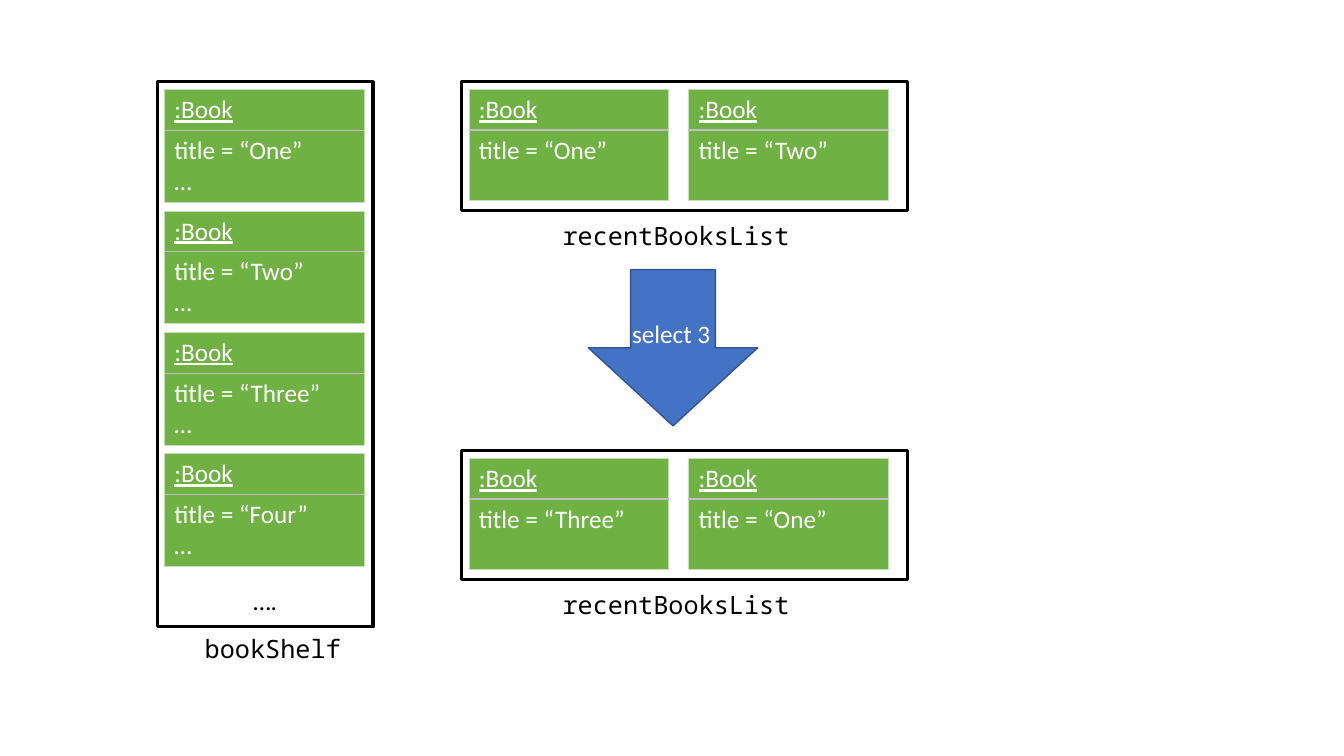
from lxml import etree
from pptx import Presentation, util as u
from pptx.dml.color import RGBColor
from pptx.enum import shapes, text
from pptx.oxml.ns import qn

# Content
SHELF = ["One", "Two", "Three", "Four"]
RECENT = [(0.81, ["One", "Two"]), (4.47, ["Three", "One"])]   # frame top, titles
COLORS = dict(white="FFFFFF", black="000000", book="70B144", edge="C9DBC1",
              divider="BFBFBF", arrow="4472C4", arrow_line="325491")
SANS, MONO = "Calibri", "Noto Sans Mono"

# Layout, in inches
SHELF_X, SHELF_Y, SHELF_W, SHELF_H = 1.56, 0.81, 2.14, 5.41
LIST_X, LIST_W, LIST_H = 4.58, 4.42, 1.28
PAD_X, PAD_Y = 0.07, 0.08
BOOK_W, BOOK_ROWS = 1.98, (0.4, 0.7)
SHELF_STEP = (4.5 - SHELF_Y - PAD_Y) / (len(SHELF) - 1)
LIST_STEP = BOOK_W + 0.2
LABEL_W, LABEL_H = 2.69, 0.4

prs = Presentation()
prs.slide_width, prs.slide_height = u.Inches(13.33), u.Inches(7.5)
s = prs.slides.add_slide(prs.slide_layouts[6])


def rgb(name):
    return RGBColor.from_string(COLORS[name])


def box(*at):
    return [u.Inches(v) for v in at]


def write(p, words, color, font=SANS, underline=False, align=None):
    p.alignment = align
    r = p.add_run()
    r.text = words
    r.font.size, r.font.name = u.Pt(18), font
    r.font.bold, r.font.underline = False, underline
    r.font.color.rgb = rgb(color)


def shape(kind, at, fill, line, width):
    sp = s.shapes.add_shape(kind, *box(*at))
    sp.shadow.inherit = False
    sp.fill.solid()
    sp.fill.fore_color.rgb = rgb(fill)
    sp.line.color.rgb = rgb(line)
    sp.line.width = u.Pt(width)
    return sp


def frame(*at):
    return shape(shapes.MSO_SHAPE.RECTANGLE, at, "white", "black", 2.25)


def label(words, at, color="black", font=MONO, wrap=True, align=text.PP_ALIGN.CENTER):
    tf = s.shapes.add_textbox(*box(*at)).text_frame
    tf.word_wrap = wrap
    tf.auto_size = text.MSO_AUTO_SIZE.SHAPE_TO_FIT_TEXT
    write(tf.paragraphs[0], words, color, font, align=align)


def borders(cell, **sides):
    tcPr = cell._tc.get_or_add_tcPr()
    for i, (side, (color, width)) in enumerate(sides.items()):
        ln = etree.Element(qn("a:ln" + side), w=str(int(u.Pt(width))))
        fill = etree.SubElement(ln, qn("a:solidFill"))
        etree.SubElement(fill, qn("a:srgbClr"), val=COLORS[color])
        tcPr.insert(i, ln)


def book(x, y, title, more=False):
    table = s.shapes.add_table(2, 1, *box(x, y, BOOK_W, sum(BOOK_ROWS))).table
    table.first_row = table.horz_banding = False
    edge, divider = ("edge", 0.5), ("divider", 1)
    for i, height in enumerate(BOOK_ROWS):
        table.rows[i].height = u.Inches(height)
        cell = table.cell(i, 0)
        cell.fill.solid()
        cell.fill.fore_color.rgb = rgb("book")
        borders(cell, L=edge, R=edge, T=divider if i else edge, B=edge if i else divider)
    write(table.cell(0, 0).text_frame.paragraphs[0], ":Book", "white", underline=True)
    tf = table.cell(1, 0).text_frame
    write(tf.paragraphs[0], f"title = “{title}”", "white")
    if more:
        write(tf.add_paragraph(), "…", "white")


# Book shelf
tf = frame(SHELF_X, SHELF_Y, SHELF_W, SHELF_H).text_frame
tf.vertical_anchor = text.MSO_ANCHOR.BOTTOM
tf.margin_bottom = u.Inches(0.11)
write(tf.paragraphs[0], "….", "black", align=text.PP_ALIGN.CENTER)
for i, title in enumerate(SHELF):
    book(SHELF_X + PAD_X, SHELF_Y + PAD_Y + i * SHELF_STEP, title, more=True)
label("bookShelf", (1.36, 6.23, LABEL_W, LABEL_H))

# Recent books, before and after the selection
for top, titles in RECENT:
    frame(LIST_X, top, LIST_W, LIST_H)
    for i, title in enumerate(titles):
        book(LIST_X + PAD_X, top + PAD_Y, title) if i == 0 else \
            book(LIST_X + PAD_X + i * LIST_STEP, top + PAD_Y, title)
    label("recentBooksList", (5.36, top + LIST_H + 0.05, LABEL_W, LABEL_H))

# Selection arrow
arrow = shape(shapes.MSO_SHAPE.RIGHT_ARROW, (5.9, 2.61, 1.55, 1.68),
              "arrow", "arrow_line", 1)
arrow.rotation = 90
label("select 3", (6.17, 3.11, 0.99, LABEL_H), "white", SANS, wrap=False, align=None)

prs.save("out.pptx")
